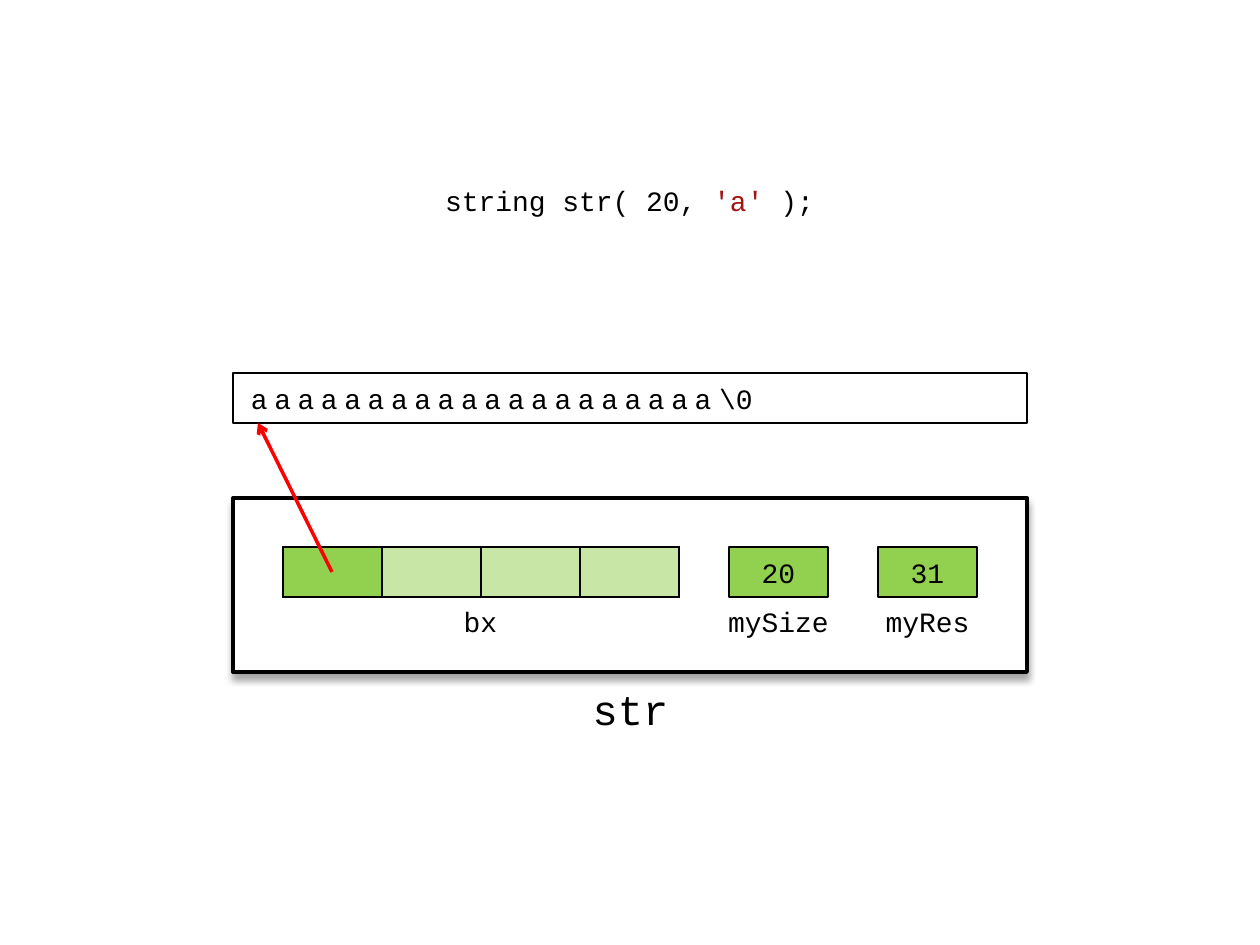
from lxml import etree
from pptx import Presentation
from pptx import util as u
from pptx.dml.color import RGBColor
from pptx.enum import shapes, text
from pptx.oxml import parse_xml
from pptx.oxml.ns import nsdecls, qn

PX = 914400 // 126
FONT = "Courier New"
BLACK, WHITE, GREEN, RED, QUOTE = "000000", "FFFFFF", "92D050", "FF0000", "A31515"
CELL_W, CELL_H = 99, 50
FRAME_X, FRAME_W = 233, 794

prs = Presentation()
prs.slide_width, prs.slide_height = u.Inches(10), u.Inches(7.5)
s = prs.slides.add_slide(prs.slide_layouts[6])


def rgb(code):
    return RGBColor.from_string(code)


def add_box(x, y, w, h, runs=(), size=16, fill=None, line=1.5, inset=0,
            align=text.PP_ALIGN.CENTER, kind=shapes.MSO_SHAPE.RECTANGLE):
    """Add a box in px, outlined if filled; runs are (text, colour, spacing in 1/100 pt)."""
    if fill:
        sp = s.shapes.add_shape(kind, x * PX, y * PX, w * PX, h * PX)
        sp.shadow.inherit = False
        sp.fill.solid()
        sp.fill.fore_color.rgb = rgb(fill)
        sp.line.color.rgb = rgb(BLACK)
        sp.line.width = u.Pt(line)
    else:
        sp = s.shapes.add_textbox(x * PX, y * PX, w * PX, h * PX)
    tf = sp.text_frame
    tf.word_wrap = True
    tf.vertical_anchor = text.MSO_ANCHOR.MIDDLE
    tf.margin_left, tf.margin_right = inset * PX, 0
    tf.margin_top = tf.margin_bottom = 0
    p = tf.paragraphs[0]
    p.alignment = align
    for words, color, spacing in runs:
        r = p.add_run()
        r.text = words
        r.font.name, r.font.size = FONT, u.Pt(size)
        r.font.color.rgb = rgb(color)
        if spacing:
            r._r.get_or_add_rPr().set("spc", str(spacing))
    return sp


# Declaration and object name
add_box(431, 175, 397, CELL_H, [("string str( 20, ", BLACK, 0), ("'a' ", QUOTE, 0),
                                (");", BLACK, 0)])
add_box(556, 672, 149, 74, [("str", BLACK, 0)], size=24)

# Object frame with a soft shadow below
frame = add_box(FRAME_X, 498, FRAME_W, 174, fill=WHITE, line=2.25,
                kind=shapes.MSO_SHAPE.FLOWCHART_PROCESS)
effects = frame._element.spPr.find(qn("a:effectLst"))
effects.append(parse_xml(
    f'<a:outerShdw {nsdecls("a")} blurRad="{u.Pt(4)}" dist="{u.Pt(3)}" dir="5400000" '
    f'rotWithShape="0"><a:srgbClr val="{BLACK}"><a:alpha val="35000"/></a:srgbClr>'
    '</a:outerShdw>'))

# Members
add_box(431, 596, CELL_W, CELL_H, [("bx", BLACK, 0)])
for x, value, name in [(729, "20", "mySize"), (878, "31", "myRes")]:
    add_box(x, 547, CELL_W, CELL_H, [(value, BLACK, 0)], fill=GREEN)
    add_box(x - 25, 596, 149, CELL_H, [(name, BLACK, 0)])

# Union bx: the first cell is in use, the others are pale
COLS = 4
table = s.shapes.add_table(1, COLS, 283 * PX, 547 * PX, COLS * CELL_W * PX, CELL_H * PX).table
table.first_row = table.horz_banding = False
for i in range(COLS):
    cell = table.cell(0, i)
    cell.margin_top = cell.margin_bottom = 0
    cell.text_frame.paragraphs[0].font.size = u.Pt(16)
    tcPr = cell._tc.get_or_add_tcPr()
    widths = {"L": 1.5 if i == 0 else 1, "R": 1.5 if i == COLS - 1 else 1, "T": 1.5, "B": 1.5}
    for side, width in widths.items():
        tcPr.append(parse_xml(
            f'<a:ln{side} {nsdecls("a")} w="{u.Pt(width)}"><a:solidFill>'
            f'<a:srgbClr val="{BLACK}"/></a:solidFill></a:ln{side}>'))
    cell.fill.solid()
    cell.fill.fore_color.rgb = rgb(GREEN)
    if i:
        color = tcPr.find(qn("a:solidFill")).find(qn("a:srgbClr"))
        etree.SubElement(color, qn("a:alpha")).set("val", "50000")

# Character buffer
add_box(FRAME_X, 373, FRAME_W, CELL_H,
        [("a" * 20, BLACK, 380), ("\\", BLACK, -150), ("0", BLACK, 0)],
        fill=WHITE, inset=18, align=text.PP_ALIGN.LEFT)

# Pointer from bx to the buffer
arrow = s.shapes.add_connector(shapes.MSO_CONNECTOR.STRAIGHT,
                               332 * PX, 572 * PX, 258 * PX, 423 * PX)
arrow.line.color.rgb = rgb(RED)
arrow.line.width = u.Pt(2)
etree.SubElement(arrow.line._get_or_add_ln(), qn("a:tailEnd")).set("type", "arrow")
etree.SubElement(arrow._element.spPr, qn("a:effectLst"))

prs.save("out.pptx")
